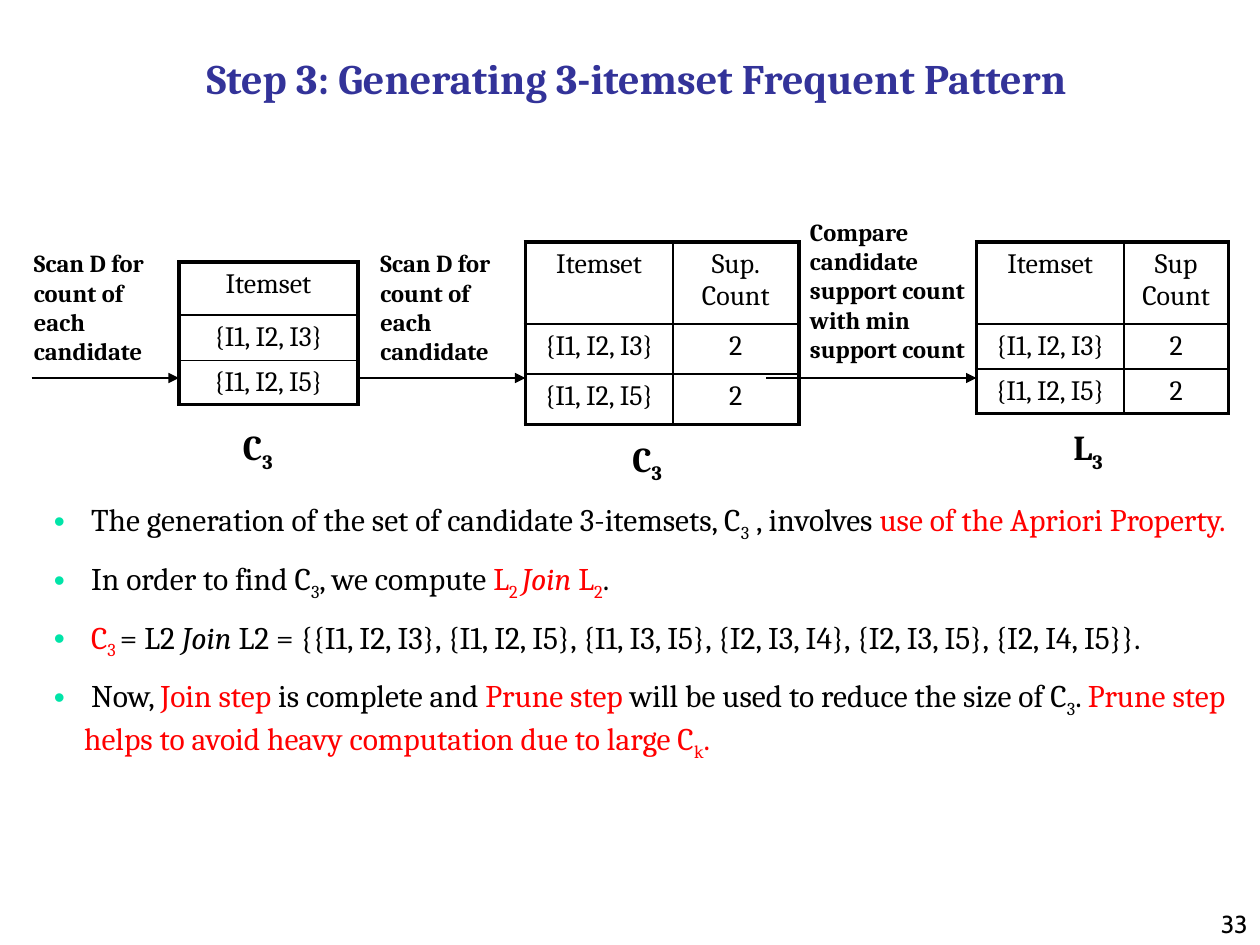
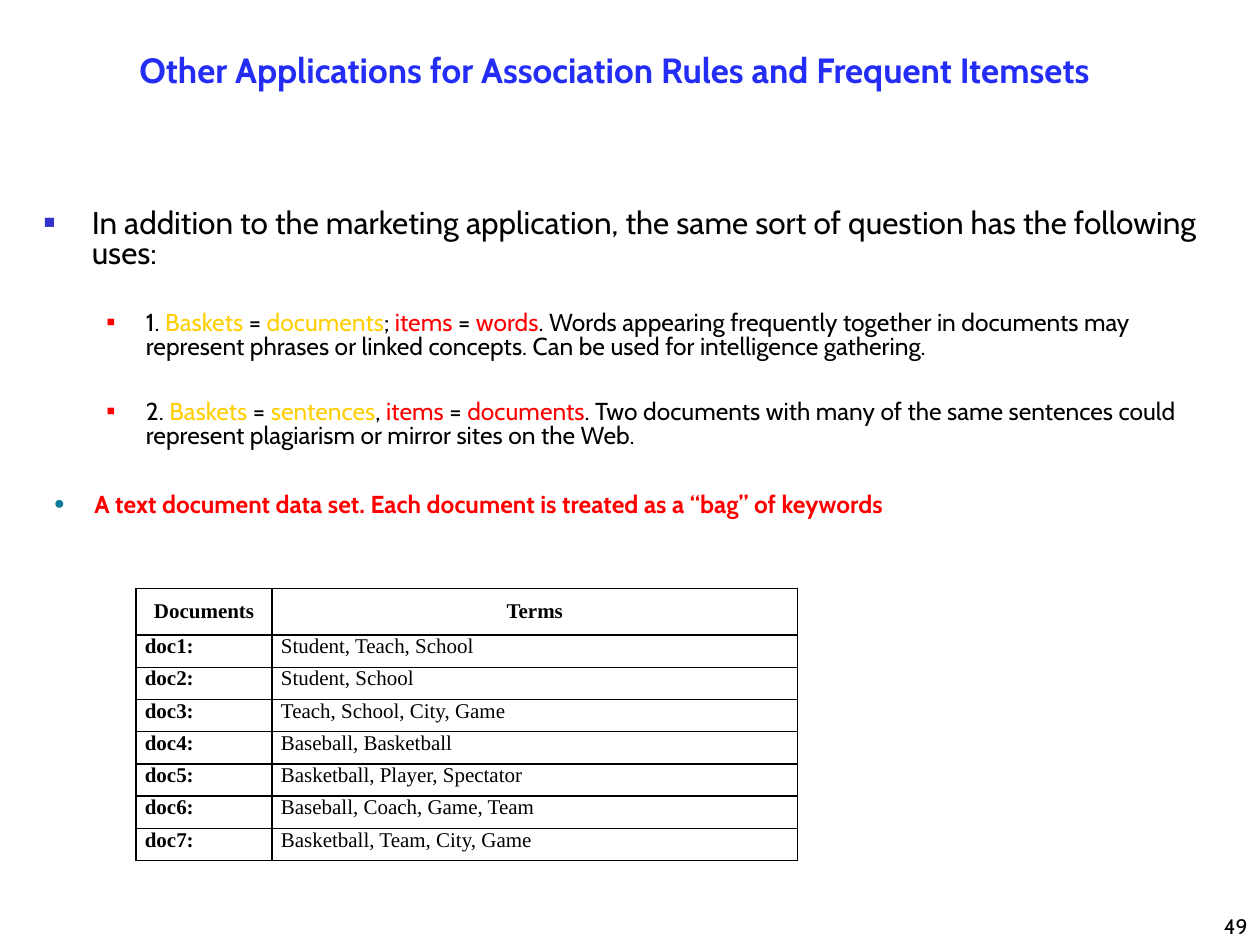
import pptx
import pptx.util
import pptx.dml.color
import pptx.enum.shapes
import pptx.enum.text
import pptx.oxml
import pptx.oxml.ns

Inches, Pt = pptx.util.Inches, pptx.util.Pt
RGBColor = pptx.dml.color.RGBColor
ALIGN = pptx.enum.text.PP_ALIGN
ANCHOR = pptx.enum.text.MSO_ANCHOR
qn = pptx.oxml.ns.qn

# Colours and fonts
BLACK = RGBColor(0x00, 0x00, 0x00)
RED = RGBColor(0xFF, 0x00, 0x00)
GOLD = RGBColor(0xFF, 0xCF, 0x01)
INDIGO = RGBColor(0x33, 0x33, 0x99)
BLUE = RGBColor(0x23, 0x2D, 0xF5)
BULLET_BLUE = RGBColor(0x33, 0x33, 0xCC)
BULLET_GREEN = RGBColor(0x00, 0xE4, 0xA8)
BULLET_TEAL = RGBColor(0x0C, 0x7B, 0x9C)
SERIF, SANS, TABLE_SERIF = "Cambria", "Cabin", "Times New Roman"

# Run formats
R = {"color": RED}
G = {"color": GOLD}
SUB = {"base": -25}
RED_SUB = {"color": RED, "base": -25}


def xml(tag, body="", **attrs):
    attrs = "".join(f' {name}="{value}"' for name, value in attrs.items())
    ns = pptx.oxml.ns.nsdecls("a")
    return pptx.oxml.parse_xml(f"<a:{tag} {ns}{attrs}>{body}</a:{tag}>")


def solid(color):
    return f'<a:solidFill><a:srgbClr val="{color}"/></a:solidFill>'


def add_run(p, text, font=SERIF, size=18, color=BLACK, bold=False, italic=False, base=0):
    r = p.add_run()
    r.text = text
    r.font.name, r.font.size = font, Pt(size)
    r.font.bold, r.font.italic = bold, italic
    r.font.color.rgb = color
    if base:
        r._r.get_or_add_rPr().set("baseline", str(base * 1000))


def set_bullet(p, char, color, percent, left, hang):
    pPr = p._p.get_or_add_pPr()
    pPr.set("marL", str(Inches(left)))
    pPr.set("indent", str(-Inches(hang)))
    pPr.append(xml("buClr", f'<a:srgbClr val="{color}"/>'))
    pPr.append(xml("buSzPct", val=percent * 1000))
    pPr.append(xml("buFont", typeface="Arial"))
    pPr.append(xml("buChar", char=char))


def write(p, runs, align=ALIGN.LEFT, before=0, spacing=None, bullet=None, **fmt):
    """Fill a paragraph with a string or a list of strings and (text, format) pairs."""
    p.alignment = align
    p.space_before = Pt(before)
    if spacing:
        p.line_spacing = spacing
    if bullet:
        set_bullet(p, *bullet)
    for run in [runs] if isinstance(runs, str) else runs:
        text, own = (run, {}) if isinstance(run, str) else run
        add_run(p, text, **{**fmt, **own})


def add_text(s, x, y, w, h, *paragraphs, anchor=ANCHOR.TOP, **fmt):
    """Add a text box; each paragraph is runs, or a dict of runs and its own format."""
    tf = s.shapes.add_textbox(Inches(x), Inches(y), Inches(w), Inches(h)).text_frame
    tf.word_wrap = True
    tf.vertical_anchor = anchor
    for i, para in enumerate(paragraphs):
        p = tf.add_paragraph() if i else tf.paragraphs[0]
        own = para if isinstance(para, dict) else {"runs": para}
        write(p, **{**fmt, **own})


def add_title(s, x, y, w, h, text, **fmt):
    add_text(s, x, y, w, h, text, anchor=ANCHOR.BOTTOM, align=ALIGN.CENTER, bold=True, **fmt)


def add_page_number(s, number, size):
    add_text(s, 7.92, 7, 2.08, 0.5, number, anchor=ANCHOR.BOTTOM,
             align=ALIGN.RIGHT, font=SANS, size=size)


def add_arrow(s, x1, x2, y):
    line = s.shapes.add_connector(pptx.enum.shapes.MSO_CONNECTOR.STRAIGHT,
                                  Inches(x1), Inches(y), Inches(x2), Inches(y))
    line.line.color.rgb = BLACK
    line.line.width = Pt(0.75)
    line.line._get_or_add_ln().append(xml("tailEnd", type="triangle"))
    line._element.spPr.append(xml("effectLst"))


def set_borders(cell, **widths):
    tcPr = cell._tc.get_or_add_tcPr()
    for i, (side, width) in enumerate(widths.items()):
        tcPr.insert(i, xml("ln" + side, solid(BLACK), w=Pt(width)))


def add_grid(s, x, y, cols, heights, rows, outer, margins, style):
    """Add a ruled table; style(row, col) gives the anchor and text format of a cell."""
    frame = s.shapes.add_table(len(rows), len(cols), Inches(x), Inches(y),
                               Inches(sum(cols)), Inches(sum(heights)))
    table = frame.table
    table.first_row = table.horz_banding = False
    for col, width in zip(table.columns, cols):
        col.width = Inches(width)
    for row, height in zip(table.rows, heights):
        row.height = Inches(height)
    last_row, last_col = len(rows) - 1, len(cols) - 1
    for i, row in enumerate(rows):
        for j, text in enumerate(row):
            cell = table.cell(i, j)
            side, top, bottom = margins
            cell.margin_left = cell.margin_right = Inches(side)
            cell.margin_top, cell.margin_bottom = Inches(top), Inches(bottom)
            cell.fill.background()
            set_borders(cell, L=1 if j else outer, R=outer if j == last_col else 1,
                        T=1 if i else outer, B=outer if i == last_row else 1)
            anchor, fmt = style(i, j)
            cell.vertical_anchor = anchor
            tf = cell.text_frame
            for n, line in enumerate(text.split("\n")):
                write(tf.add_paragraph() if n else tf.paragraphs[0], line, **fmt)


def itemset_style(row, col):
    return ANCHOR.TOP, {"align": ALIGN.CENTER, "size": 16}


def document_style(row, col):
    fmt = {"font": TABLE_SERIF, "size": 12, "bold": row == 0 or col == 0}
    if row == 0:
        return ANCHOR.MIDDLE, {**fmt, "align": ALIGN.CENTER}
    return ANCHOR.TOP, fmt


def add_itemset_slide(prs):
    s = prs.slides.add_slide(prs.slide_layouts[6])
    add_page_number(s, "33", 14)
    add_title(s, 0.83, 0.2, 8.44, 0.67, "Step 3: Generating 3-itemset Frequent Pattern",
              size=24, color=INDIGO)

    # Candidate and frequent itemset tables
    sets = ["{I1, I2, I3}", "{I1, I2, I5}"]
    counted = [[name, "2"] for name in sets]
    tables = [
        (1.42, 2.08, [1.42], [0.42, 0.36, 0.35], [["Itemset"]] + [[name] for name in sets]),
        (4.17, 1.92, [1.17, 1], [0.65, 0.4, 0.4], [["Itemset", "Sup.\nCount"]] + counted),
        (7.75, 1.92, [1.17, 0.83], [0.65, 0.36, 0.35], [["Itemset", "Sup\nCount"]] + counted),
    ]
    for x, y, cols, heights, rows in tables:
        add_grid(s, x, y, cols, heights, rows, 2.25, (0.1, 0.05, 0), itemset_style)
    for x, y, letter in [(1.83, 3.33, "C"), (4.92, 3.42, "C"), (8.42, 3.33, "L")]:
        add_text(s, x, y, 0.58, 0.43, [letter, ("3", SUB)], size=20, bold=True)

    # Steps between the tables
    scan = "Scan D for count of each candidate"
    compare = "Compare candidate support count with min support count"
    steps = [(0.17, 1.92, 1.25, scan, 0.25, 1.42),
             (2.92, 1.92, 1.25, scan, 2.83, 4.17),
             (6.33, 1.67, 1.5, compare, 6.08, 7.75)]
    for x, y, w, text, start, end in steps:
        add_text(s, x, y, w, 2.95 - y, text, size=14, bold=True)
        add_arrow(s, start, end, 3)

    # Explanation
    points = [
        [" The generation of the set of candidate 3-itemsets, C", ("3", SUB), " , involves ",
         ("use of the Apriori Property.", R)],
        [" In order to find C", ("3", SUB), ", we compute ", ("L", R), ("2 ", RED_SUB),
         ("Join", {"color": RED, "italic": True}), (" L", R), ("2", RED_SUB), "."],
        [" ", ("C", R), ("3 ", RED_SUB), "= L2 ", ("Join", {"italic": True}),
         " L2 = {{I1, I2, I3}, {I1, I2, I5}, {I1, I3, I5}, {I2, I3, I4}, "
         "{I2, I3, I5}, {I2, I4, I5}}."],
        [" Now, ", ("Join step", R), " is complete and ", ("Prune step", R),
         " will be used to reduce the size of C", ("3", SUB), ". ",
         ("Prune step helps to avoid heavy computation due to large C", R),
         ("k", RED_SUB), (".", R)],
    ]
    first, *others = points
    add_text(s, 0.33, 3.92, 9.5, 2.37, first,
             *[{"runs": runs, "before": 9} for runs in others],
             bullet=("•", BULLET_GREEN, 100, 0.24, 0.24))


def add_applications_slide(prs):
    s = prs.slides.add_slide(prs.slide_layouts[6])
    add_title(s, 0.35, 0.52, 9.06, 0.25,
              "Other Applications for Association Rules and Frequent Itemsets",
              font=SANS, size=20, color=BLUE)

    # Uses
    uses = [
        ["1. ", ("Baskets", G), " = ", ("documents", G), "; ", ("items", R), " = ",
         ("words", R), ". Words appearing frequently together in documents may represent "
         "phrases or linked concepts. Can be used for intelligence gathering."],
        ["2. ", ("Baskets", G), " = ", ("sentences", G), ", ", ("items", R), " = ",
         ("documents", R), ". Two documents with many of the same sentences could "
         "represent plagiarism or mirror sites on the Web."],
    ]
    sub_bullet = ("■", RED, 55, 0.81, 0.31)
    add_text(s, 0.25, 1.62, 9.45, 2.2,
             "In addition to the marketing application, the same sort of question "
             "has the following uses:",
             *[{"runs": runs, "size": 14, "before": 24, "bullet": sub_bullet} for runs in uses],
             font=SANS, spacing=0.8, bullet=("■", BULLET_BLUE, 60, 0.38, 0.38))
    add_text(s, 0.33, 3.83, 9.24, 0.42,
             "A text document data set. Each document is treated as a “bag” of keywords",
             font=SANS, size=14, color=RED, bold=True,
             bullet=("●", BULLET_TEAL, 75, 0.32, 0.32))
    add_page_number(s, "49", 12)

    # Documents and their keywords
    terms = ["Student, Teach, School", "Student, School", "Teach, School, City, Game",
             "Baseball, Basketball", "Basketball, Player, Spectator",
             "Baseball, Coach, Game, Team", "Basketball, Team, City, Game"]
    rows = [["Documents", "Terms"]] + [[f"doc{n}:", t] for n, t in enumerate(terms, 1)]
    add_grid(s, 1.08, 4.67, [1.08, 4.17], [0.37] + [0.256] * len(terms), rows, 1,
             (0.07, 0, 0), document_style)


def main():
    prs = pptx.Presentation()
    prs.slide_width, prs.slide_height = Inches(10), Inches(7.5)
    add_itemset_slide(prs)
    add_applications_slide(prs)
    prs.save("out.pptx")


if __name__ == "__main__":
    main()
